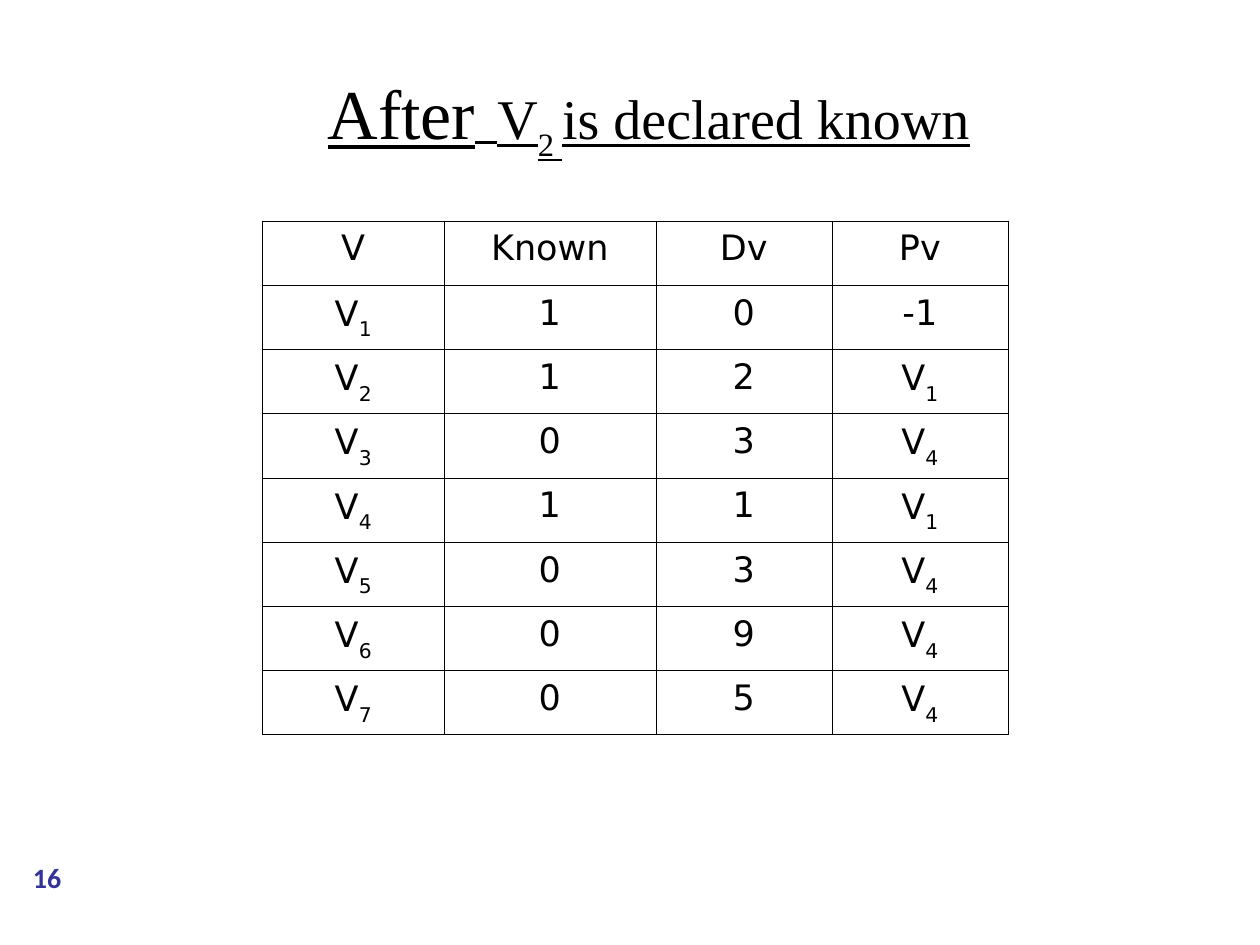
from lxml.etree import SubElement
from pptx import Presentation
from pptx.dml.color import RGBColor
from pptx.enum.shapes import MSO_SHAPE
from pptx.enum.text import MSO_ANCHOR, MSO_AUTO_SIZE, PP_ALIGN
from pptx.oxml.ns import qn
from pptx.util import Cm, Pt

BLACK = RGBColor(0x00, 0x00, 0x00)
WHITE = RGBColor(0xFF, 0xFF, 0xFF)
NAVY = RGBColor(0x33, 0x33, 0x99)

TITLE_BOX = (Cm(1.27), Cm(0.53), Cm(22.86), Cm(3.63))
NUMBER_BOX = (Cm(0), Cm(17.27), Cm(1.9), Cm(0.84))
TABLE_ORIGIN = (Cm(5.29), Cm(4.45))
COL_WIDTHS = (Cm(3.66), Cm(4.27), Cm(3.55), Cm(3.55))
ROW_HEIGHT = Cm(1.295)

SERIF = {"name": "Times New Roman", "underline": True}
TITLE_RUNS = (
    ("After", {**SERIF, "size": Pt(40)}, False),
    (" ", {**SERIF, "name": "DejaVu Sans", "size": Pt(40)}, False),
    ("V", {**SERIF, "size": Pt(32)}, False),
    ("2 ", {**SERIF, "size": Pt(32)}, True),
    ("is declared known", {**SERIF, "size": Pt(32)}, False),
)
CELL_FONT = {"name": "DejaVu Sans", "size": Pt(20)}
CELL_FORMAT = {
    "margin_left": Cm(0.25),
    "margin_right": Cm(0.25),
    "margin_top": Cm(0.18),
    "margin_bottom": Cm(0.13),
    "vertical_anchor": MSO_ANCHOR.TOP,
}
ROWS = (
    ("V", "Known", "Dv", "Pv"),
    ("V1", "1", "0", "-1"),
    ("V2", "1", "2", "V1"),
    ("V3", "0", "3", "V4"),
    ("V4", "1", "1", "V1"),
    ("V5", "0", "3", "V4"),
    ("V6", "0", "9", "V4"),
    ("V7", "0", "5", "V4"),
)


def set_attrs(obj, values):
    """Set each attribute named in a dict of format values."""
    for name, value in values.items():
        setattr(obj, name, value)


def add_run(p, text, font, color=BLACK, subscript=False):
    """Append a formatted run to a paragraph."""
    r = p.add_run()
    r.text = text
    set_attrs(r.font, font)
    r.font.color.rgb = color
    if subscript:
        r._r.get_or_add_rPr().set("baseline", "-30000")


def format_title(sp):
    """Place the title and fill it with its runs on a hanging indent."""
    sp.left, sp.top, sp.width, sp.height = TITLE_BOX
    tf = sp.text_frame
    set_attrs(tf, {
        "word_wrap": True,
        "auto_size": MSO_AUTO_SIZE.NONE,
        "vertical_anchor": MSO_ANCHOR.MIDDLE,
    })
    p = tf.paragraphs[0]
    p.alignment = PP_ALIGN.LEFT
    pPr = p._p.get_or_add_pPr()
    pPr.set("marL", str(Cm(5.72)))
    pPr.set("indent", str(Cm(-0.64)))
    for text, font, subscript in TITLE_RUNS:
        add_run(p, text, font, subscript=subscript)


def add_borders(cell):
    """Draw a thin black line on all four sides of a cell."""
    tcPr = cell._tc.get_or_add_tcPr()
    for side in ("lnL", "lnR", "lnT", "lnB"):
        ln = SubElement(tcPr, qn(f"a:{side}"), w=str(Pt(0.23)))
        fill = SubElement(ln, qn("a:solidFill"))
        SubElement(fill, qn("a:srgbClr"), val=str(BLACK))


def fill_cell(cell, text):
    """Write a centred value, with the index of a vertex as subscript."""
    add_borders(cell)
    cell.fill.background()
    set_attrs(cell, CELL_FORMAT)
    p = cell.text_frame.paragraphs[0]
    set_attrs(p, {"alignment": PP_ALIGN.CENTER, "line_spacing": 0.96})
    if text[0] == "V":
        add_run(p, "V", CELL_FONT)
        if text[1:]:
            add_run(p, text[1:], CELL_FONT, subscript=True)
    else:
        add_run(p, text, CELL_FONT)


def add_vertex_table(s):
    """Add the table of vertices, known flags, distances and parents."""
    table = s.shapes.add_table(
        len(ROWS), len(COL_WIDTHS), *TABLE_ORIGIN,
        sum(COL_WIDTHS), ROW_HEIGHT * len(ROWS)).table
    set_attrs(table, {"first_row": False, "horz_banding": False})
    for col, width in zip(table.columns, COL_WIDTHS):
        col.width = width
    for row, values in zip(table.rows, ROWS):
        row.height = ROW_HEIGHT
        for cell, text in zip(row.cells, values):
            fill_cell(cell, text)


def add_page_number(s, text):
    """Add the page number in a white ellipse."""
    sp = s.shapes.add_shape(MSO_SHAPE.OVAL, *NUMBER_BOX)
    sp.shadow.inherit = False
    sp.fill.solid()
    sp.fill.fore_color.rgb = WHITE
    sp.line.color.rgb = WHITE
    sp.line.width = Pt(2)
    tf = sp.text_frame
    set_attrs(tf, {
        "margin_left": 0, "margin_right": 0,
        "margin_top": 0, "margin_bottom": 0,
        "vertical_anchor": MSO_ANCHOR.MIDDLE,
    })
    p = tf.paragraphs[0]
    p.alignment = PP_ALIGN.CENTER
    add_run(p, text, {"name": "Calibri", "size": Pt(16), "bold": True}, NAVY)


def main():
    """Build the slide and save it."""
    prs = Presentation()
    prs.slide_width, prs.slide_height = Cm(25.4), Cm(19.05)
    s = prs.slides.add_slide(prs.slide_layouts[5])
    add_page_number(s, "16")
    format_title(s.shapes.title)
    add_vertex_table(s)
    prs.save("out.pptx")


if __name__ == "__main__":
    main()
